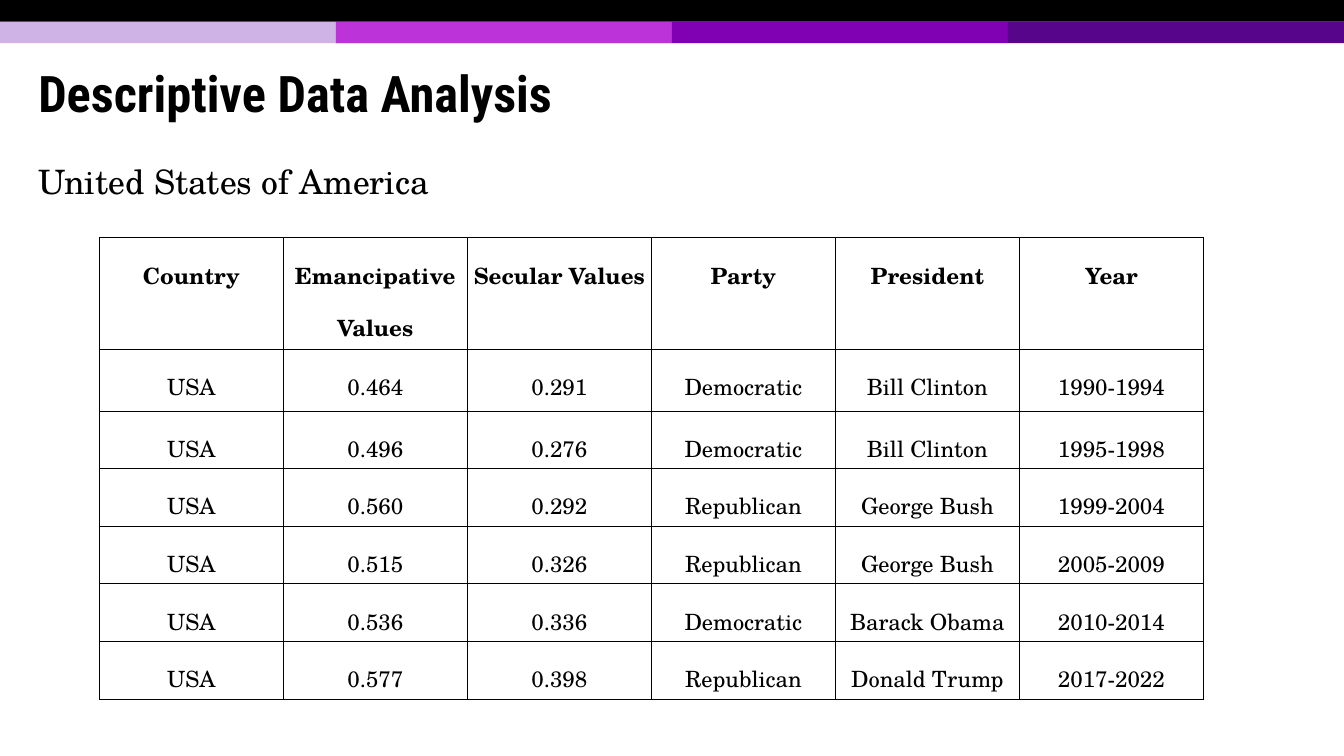
"""Build a slide with a table of US value scores by president and period."""
from dataclasses import dataclass

from lxml import etree
from pptx import Presentation
from pptx.dml.color import RGBColor
from pptx.enum import shapes, text
from pptx.oxml import ns
from pptx.util import Pt

BLACK = "000000"
WHITE = "FFFFFF"
SERIF = "TeX Gyre Schola"
SLIDE_WIDTH, SLIDE_HEIGHT = 720, 405
BAND_HEIGHT = 11.6
BAND_COLORS = ("CFB3E6", "BD33DA", "8000B3", "57058A")
COLUMN_WIDTH = 98.6
ROW_HEIGHTS = (30.5, 33.2) + (30.5,) * 5
ROWS = (
    ("Country", "Emancipative Values", "Secular Values", "Party", "President", "Year"),
    ("USA", "0.464", "0.291", "Democratic", "Bill Clinton", "1990-1994"),
    ("USA", "0.496", "0.276", "Democratic", "Bill Clinton", "1995-1998"),
    ("USA", "0.560", "0.292", "Republican", "George Bush", "1999-2004"),
    ("USA", "0.515", "0.326", "Republican", "George Bush", "2005-2009"),
    ("USA", "0.536", "0.336", "Democratic", "Barack Obama", "2010-2014"),
    ("USA", "0.577", "0.398", "Republican", "Donald Trump", "2017-2022"),
)


@dataclass(frozen=True)
class Box:
    left: float
    top: float
    width: float
    height: float

    def lengths(self) -> tuple:
        return tuple(Pt(value) for value in (self.left, self.top, self.width, self.height))


@dataclass(frozen=True)
class Style:
    font: str
    size: float
    bold: bool = False
    align: text.PP_ALIGN = text.PP_ALIGN.LEFT
    line_spacing: float = 1.0
    before: float = 0
    after: float = 0


TITLE = Style("Roboto Condensed", 27, bold=True, line_spacing=0.85)
SUBTITLE = Style(SERIF, 18, before=6, after=6)
HEADER = Style(SERIF, 12, True, text.PP_ALIGN.CENTER, 1.5, 12)
VALUE = Style(SERIF, 12, False, text.PP_ALIGN.CENTER, 1.5, 12)


def color(value: str) -> RGBColor:
    return RGBColor.from_string(value)


def write(frame, content: str, style: Style) -> None:
    paragraph = frame.paragraphs[0]
    paragraph.alignment = style.align
    paragraph.line_spacing = style.line_spacing
    paragraph.space_before = Pt(style.before)
    paragraph.space_after = Pt(style.after)
    run = paragraph.add_run()
    run.text = content
    run.font.name = style.font
    run.font.size = Pt(style.size)
    run.font.bold = style.bold
    run.font.color.rgb = color(BLACK)


def format_frame(frame, anchor: text.MSO_ANCHOR) -> None:
    frame.word_wrap = True
    frame.auto_size = text.MSO_AUTO_SIZE.NONE
    frame.vertical_anchor = anchor
    frame.margin_left = frame.margin_right = Pt(5.4)
    frame.margin_top = frame.margin_bottom = Pt(2.7)


def add_band(slide, box: Box, fill: str) -> None:
    shape = slide.shapes.add_shape(shapes.MSO_SHAPE.RECTANGLE, *box.lengths())
    shape.shadow.inherit = False
    shape.fill.solid()
    shape.fill.fore_color.rgb = color(fill)
    shape.line.fill.background()


def add_bands(slide) -> None:
    width = SLIDE_WIDTH / len(BAND_COLORS)
    for index, fill in enumerate(BAND_COLORS):
        add_band(slide, Box(index * width, BAND_HEIGHT, width, BAND_HEIGHT), fill)
    add_band(slide, Box(0, 0, SLIDE_WIDTH, BAND_HEIGHT), BLACK)


def add_title(slide, box: Box, content: str) -> None:
    title = slide.shapes.title
    title.left, title.top, title.width, title.height = box.lengths()
    format_frame(title.text_frame, text.MSO_ANCHOR.MIDDLE)
    write(title.text_frame, content, TITLE)


def add_subtitle(slide, box: Box, content: str) -> None:
    frame = slide.shapes.add_textbox(*box.lengths()).text_frame
    format_frame(frame, text.MSO_ANCHOR.TOP)
    write(frame, content, SUBTITLE)


def add_borders(cell, width: float) -> None:
    properties = cell._tc.get_or_add_tcPr()
    for side in ("lnL", "lnR", "lnT", "lnB"):
        line = etree.SubElement(properties, ns.qn(f"a:{side}"), w=str(int(Pt(width))))
        fill = etree.SubElement(line, ns.qn("a:solidFill"))
        etree.SubElement(fill, ns.qn("a:srgbClr"), val=BLACK)


def fill_cell(cell, content: str, style: Style) -> None:
    cell.margin_left = cell.margin_right = Pt(2.2)
    cell.margin_top = cell.margin_bottom = Pt(2.2)
    cell.vertical_anchor = text.MSO_ANCHOR.TOP
    add_borders(cell, 0.6)
    cell.fill.solid()
    cell.fill.fore_color.rgb = color(WHITE)
    write(cell.text_frame, content, style)


def add_values_table(slide, left: float, top: float) -> None:
    box = Box(left, top, COLUMN_WIDTH * len(ROWS[0]), sum(ROW_HEIGHTS))
    table = slide.shapes.add_table(len(ROWS), len(ROWS[0]), *box.lengths()).table
    table.horz_banding = False
    for column in table.columns:
        column.width = Pt(COLUMN_WIDTH)
    for row_index, (row, height) in enumerate(zip(ROWS, ROW_HEIGHTS)):
        table.rows[row_index].height = Pt(height)
        for column_index, content in enumerate(row):
            style = VALUE if row_index else HEADER
            fill_cell(table.cell(row_index, column_index), content, style)


def main() -> None:
    presentation = Presentation()
    presentation.slide_width = Pt(SLIDE_WIDTH)
    presentation.slide_height = Pt(SLIDE_HEIGHT)
    slide = presentation.slides.add_slide(presentation.slide_layouts[5])
    add_bands(slide)
    add_title(slide, Box(15.1, 25.9, 683.3, 52.6), "Descriptive Data Analysis")
    add_subtitle(slide, Box(15.1, 83.5, 683.3, 271.4), "United States of America")
    add_values_table(slide, 53.2, 127.2)
    presentation.save("out.pptx")


if __name__ == "__main__":
    main()
